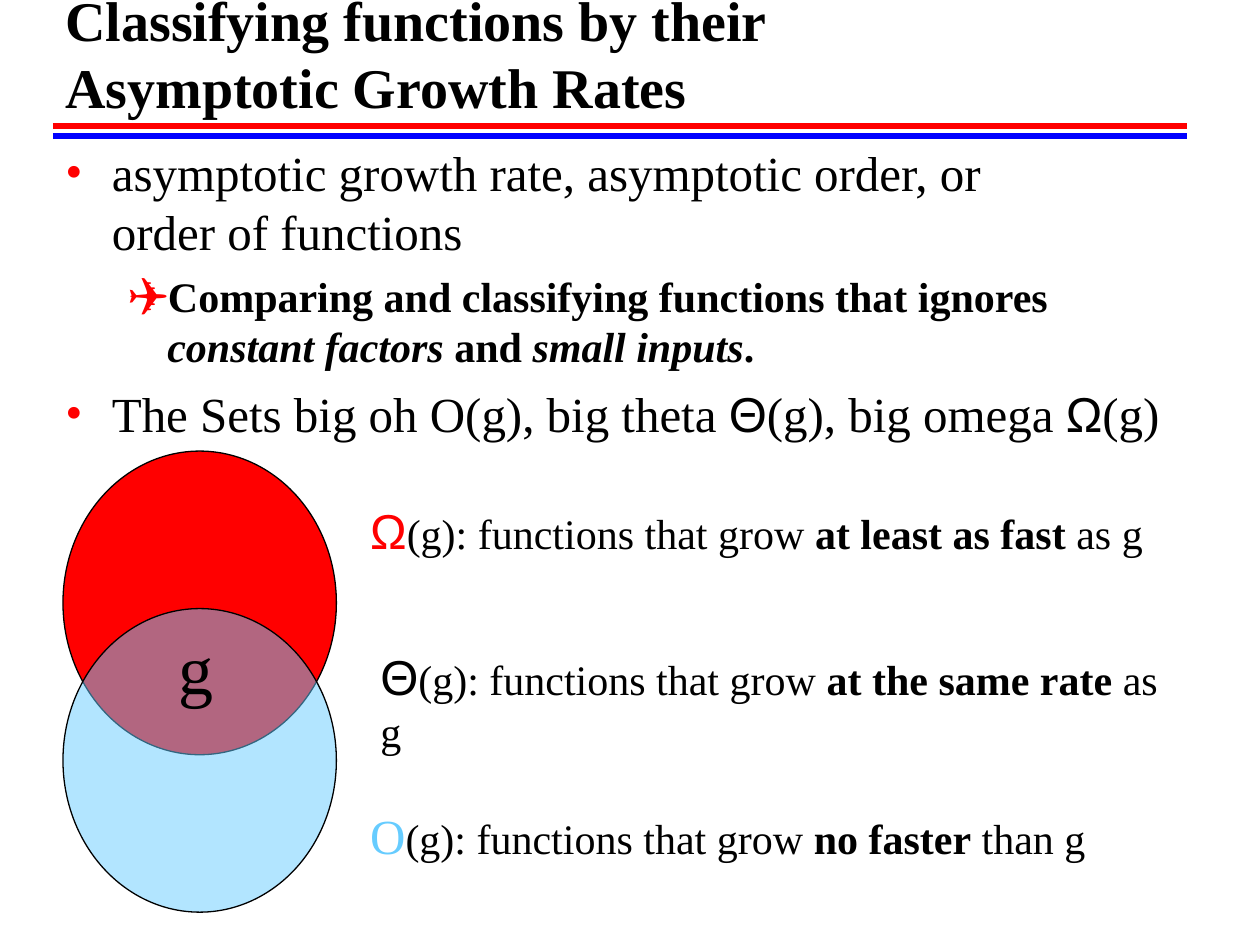
from lxml import etree
from pptx import Presentation
from pptx.dml.color import RGBColor
from pptx.enum import shapes, text
from pptx.oxml.ns import qn
from pptx.util import Inches, Pt

BLACK = RGBColor(0x00, 0x00, 0x00)
RED = RGBColor(0xFF, 0x00, 0x00)
BLUE = RGBColor(0x00, 0x00, 0xFF)
SKY = RGBColor(0x66, 0xCC, 0xFF)
SERIF, SANS = "Times New Roman", "Arial"


def add_run(p, words, size=24, font=SERIF, color=BLACK, bold=False, italic=False):
    """Add one formatted run, with line breaks at newlines."""
    for i, line in enumerate(words.split("\n")):
        if i:
            p.add_line_break()
        r = p.add_run()
        r.text = line
        r.font.size, r.font.name = Pt(size), font
        r.font.bold, r.font.italic = bold, italic
        r.font.color.rgb = color


def add_box(slide, left, top, width, height, wrap=True, anchor=text.MSO_ANCHOR.TOP):
    """Add a text box and return its text frame."""
    tf = slide.shapes.add_textbox(
        Inches(left), Inches(top), Inches(width), Inches(height)).text_frame
    tf.word_wrap, tf.vertical_anchor = wrap, anchor
    return tf


def set_bullet(p, char, margin, hanging):
    """Give a paragraph a red bullet and a hanging indent."""
    pPr = p._p.get_or_add_pPr()
    pPr.set("marL", str(Inches(margin)))
    pPr.set("indent", str(-Inches(hanging)))
    color = etree.SubElement(pPr, qn("a:buClr"))
    etree.SubElement(color, qn("a:srgbClr"), val=str(RED))
    etree.SubElement(pPr, qn("a:buFont"), typeface=SERIF)
    etree.SubElement(pPr, qn("a:buChar"), char=char)


def add_title(slide, left, top, width, height):
    """Place the title above a red and a blue rule."""
    tf = add_box(slide, left, top, width, height, anchor=text.MSO_ANCHOR.BOTTOM)
    add_run(tf.paragraphs[0], "Classifying functions by their\nAsymptotic Growth Rates",
            size=32, bold=True)
    bottom = top + height
    for y, color in ((bottom + 0.08, BLUE), (bottom, RED)):
        line = slide.shapes.add_connector(
            shapes.MSO_CONNECTOR.STRAIGHT,
            Inches(left), Inches(y), Inches(left + width), Inches(y))
        line.line.color.rgb, line.line.width = color, Pt(3)
        etree.SubElement(line._element.spPr, qn("a:effectLst"))


def add_body(slide, left, top, width, height):
    """Place the bulleted definitions."""
    tf = add_box(slide, left, top, width, height)
    main, sub = ("•", 0.37, 0.37, 7), ("✈", 0.81, 0.31, 6)
    big, strong = {"size": 28}, {"bold": True}
    sans, slanted = {"size": 28, "font": SANS}, {"bold": True, "italic": True}
    items = [
        (main, [("asymptotic growth rate, asymptotic order, or \norder of functions", big)]),
        (sub, [("Comparing and classifying functions that ignores ", strong),
               ("constant factors", slanted), (" and ", strong),
               ("small inputs", slanted), (".", strong)]),
        (main, [("The Sets big oh O(g), big theta ", big), ("Θ", sans),
                ("(g), big omega ", big), ("Ω", sans), ("(g)", big)]),
    ]
    for i, ((char, margin, hanging, before), runs) in enumerate(items):
        p = tf.add_paragraph() if i else tf.paragraphs[0]
        p.level = 1 if char == "✈" else 0
        set_bullet(p, char, margin, hanging)
        if i:
            p.space_before = Pt(before)
        for words, style in runs:
            add_run(p, words, **style)


def add_venn(slide, left, top, width, height):
    """Place two overlapping ellipses that share g."""
    oval_height = 2.41
    for y, color, alpha in ((top, RED, 100), (top + height - oval_height, SKY, 50)):
        sp = slide.shapes.add_shape(shapes.MSO_SHAPE.OVAL, Inches(left), Inches(y),
                                    Inches(width), Inches(oval_height))
        sp.shadow.inherit = False
        sp.fill.solid()
        sp.fill.fore_color.rgb = color
        sp.line.color.rgb, sp.line.width = BLACK, Pt(0.75)
        if alpha < 100:
            clr = sp._element.spPr.find(qn("a:solidFill")).find(qn("a:srgbClr"))
            etree.SubElement(clr, qn("a:alpha"), val=str(alpha * 1000))
    tf = add_box(slide, left + 0.82, top + 1.33, 0.48, 0.77, wrap=False)
    add_run(tf.paragraphs[0], "g", size=40)


def add_legend(slide, left, top, width, height):
    """Explain each of the three sets beside the ellipses."""
    rows = [
        (0, 0, "Ω", SANS, RED, "at least as fast", " as g"),
        (0.08, 1.16, "Θ", SANS, BLACK, "at the same rate", " as g"),
        (0, 2.42, "O", SERIF, SKY, "no faster", " than g"),
    ]
    for dx, dy, symbol, font, color, rate, ending in rows:
        tf = add_box(slide, left + dx, top + dy, width, height)
        p = tf.paragraphs[0]
        add_run(p, symbol, size=28, font=font, color=color)
        add_run(p, "(g): functions that grow ")
        add_run(p, rate, bold=True)
        add_run(p, ending)


def main():
    """Build and save the slide."""
    prs = Presentation()
    prs.slide_width, prs.slide_height = Inches(10), Inches(7.5)
    slide = prs.slides.add_slide(prs.slide_layouts[6])
    add_title(slide, 0.42, 0.25, 9, 0.75)
    add_body(slide, 0.42, 1.08, 9.03, 6.17)
    add_venn(slide, 0.5, 3.58, 2.17, 3.66)
    add_legend(slide, 2.84, 3.92, 6.5, 0.57)
    prs.save("out.pptx")


if __name__ == "__main__":
    main()
